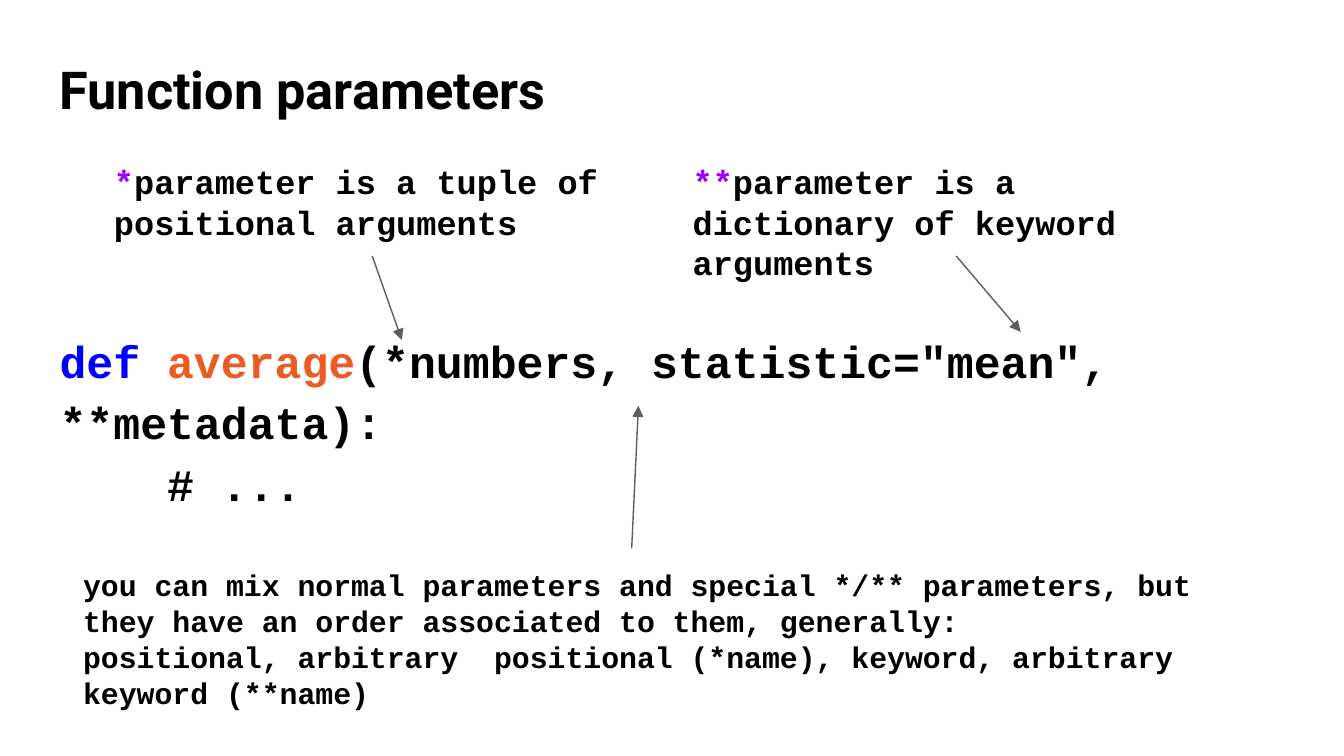
from lxml import etree
from pptx import Presentation
from pptx.dml.color import RGBColor
from pptx.enum.shapes import MSO_CONNECTOR
from pptx.enum.text import MSO_ANCHOR
from pptx.oxml.ns import qn
from pptx.util import Emu, Pt

STRAIGHT = MSO_CONNECTOR.STRAIGHT
TOP, MIDDLE = MSO_ANCHOR.TOP, MSO_ANCHOR.MIDDLE
EMU_PER_PX = 4572
INSET = 20
BOTTOM_SITE = 2
TITLE_FONT, CODE_FONT = "Roboto", "Courier New"
COLORS = {
    "background": "FFFFFF",
    "text": "000000",
    "keyword": "0000FF",
    "function": "EA5B25",
    "star": "9900FF",
    "arrow": "5D5D5D",
}


def px(length):
    """Turn whole px, 200 to the inch, into EMU."""
    return Emu(length * EMU_PER_PX)


def add_text(slide, box, paragraphs, size, font=CODE_FONT, spacing=1.0, anchor=TOP):
    """Add a bold text box whose paragraphs are lists of (text, colour) runs."""
    shape = slide.shapes.add_textbox(*map(px, box))
    frame = shape.text_frame
    frame.word_wrap = True
    frame.vertical_anchor = anchor
    frame.margin_left = frame.margin_right = px(INSET)
    frame.margin_top = frame.margin_bottom = px(INSET)
    for index, runs in enumerate(paragraphs):
        paragraph = frame.add_paragraph() if index else frame.paragraphs[0]
        paragraph.line_spacing = spacing
        for text, color in runs:
            run = paragraph.add_run()
            run.text = text
            run.font.name = font
            run.font.size = Pt(size)
            run.font.bold = True
            run.font.color.rgb = RGBColor.from_string(COLORS[color])
    return shape


def add_arrow(slide, start, end):
    """Add a thin straight arrow from start to end."""
    arrow = slide.shapes.add_connector(STRAIGHT, *map(px, start + end))
    arrow.line.color.rgb = RGBColor.from_string(COLORS["arrow"])
    arrow.line.width = Pt(0.75)
    etree.SubElement(arrow.line._get_or_add_ln(), qn("a:tailEnd"), type="triangle")
    etree.SubElement(arrow._element.spPr, qn("a:effectLst"))
    return arrow


def add_title(slide, box):
    """Place the slide title in the box."""
    add_text(slide, box, [[("Function parameters", "text")]], 28, TITLE_FONT, 0.9, MIDDLE)


def add_code(slide, box):
    """Place the function definition in the box."""
    lines = [
        [
            ("def ", "keyword"),
            ("average", "function"),
            ('(*numbers, statistic="mean", **metadata):', "text"),
        ],
        [("    # ...", "text")],
    ]
    add_text(slide, box, lines, 24, spacing=1.15)


def add_star_note(slide, box, stars, explanation, arrow_run):
    """Place a note on a starred parameter and its arrow down to the code."""
    left, top, width, height = box
    note = add_text(slide, box, [[(stars, "star"), (explanation, "text")]], 18)
    start = (left + width // 2, top + 161)
    arrow = add_arrow(slide, start, (start[0] + arrow_run[0], start[1] + arrow_run[1]))
    if start[1] == top + height:
        arrow.begin_connect(note, BOTTOM_SITE)


def add_order_note(slide, box):
    """Place the note on parameter order and its arrow up to the code."""
    left, top, width, height = box
    sentences = [
        "you can mix normal parameters and special */** parameters, "
        "but they have an order associated to them, generally:",
        "positional, arbitrary  positional (*name), keyword, "
        "arbitrary keyword (**name)",
    ]
    add_text(slide, box, [[(sentence, "text")] for sentence in sentences], 16)
    add_arrow(slide, (left + 836, top - 8), (left + 846, top - 220))


def build_slide(presentation):
    """Build the function parameters slide."""
    slide = presentation.slides.add_slide(presentation.slide_layouts[6])
    fill = slide.background.fill
    fill.solid()
    fill.fore_color.rgb = RGBColor.from_string(COLORS["background"])
    add_title(slide, (69, 75, 1782, 126))
    add_code(slide, (69, 464, 1864, 556))
    add_star_note(
        slide, (150, 220, 808, 161), "*",
        "parameter is a tuple of positional arguments", (44, 125),
    )
    add_star_note(
        slide, (1011, 220, 824, 220), "**",
        "parameter is a dictionary of keyword arguments", (96, 113),
    )
    add_order_note(slide, (104, 824, 1810, 254))


def main():
    """Create and save the presentation."""
    presentation = Presentation()
    presentation.slide_width = px(2000)
    presentation.slide_height = px(1125)
    build_slide(presentation)
    presentation.save("out.pptx")


if __name__ == "__main__":
    main()
